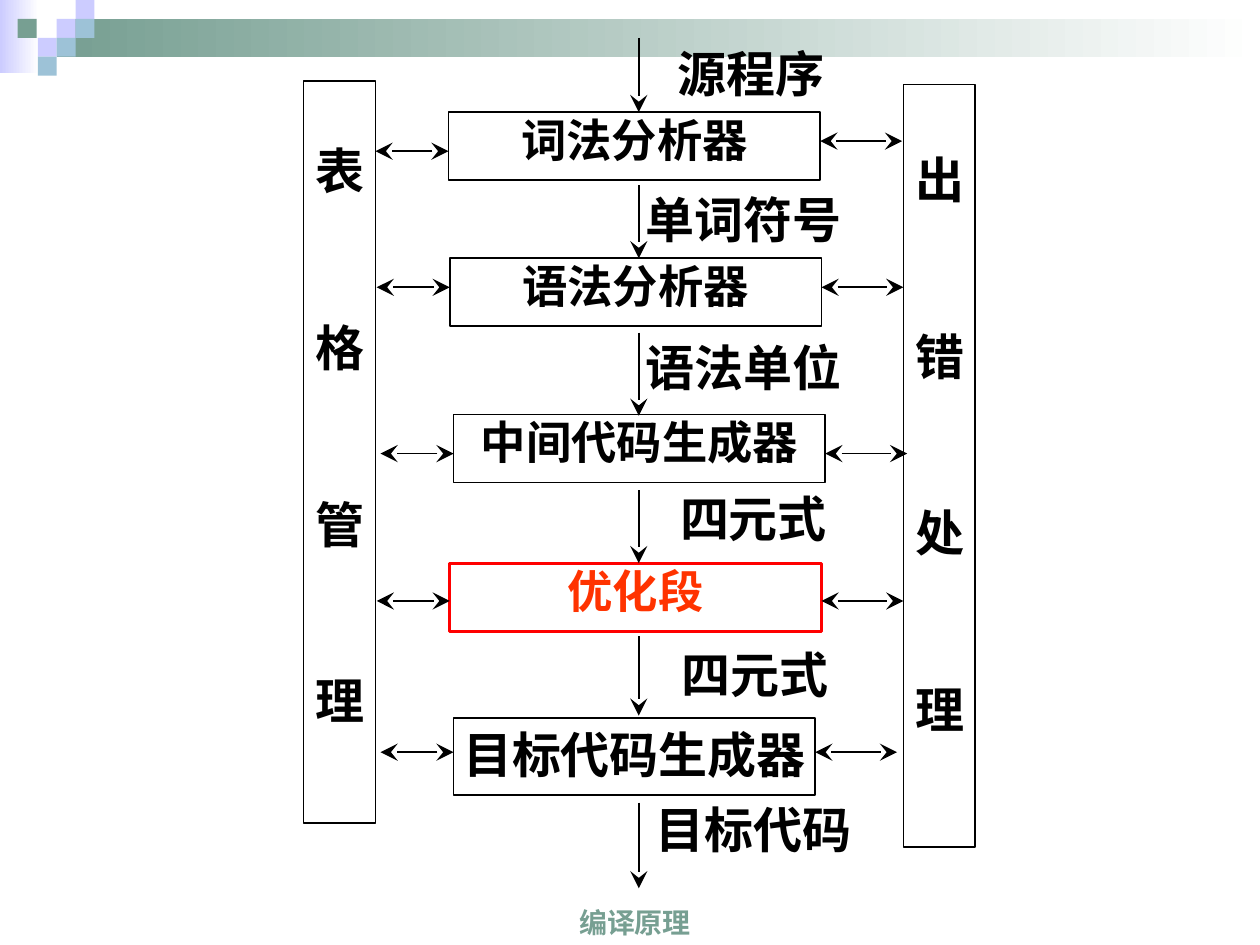
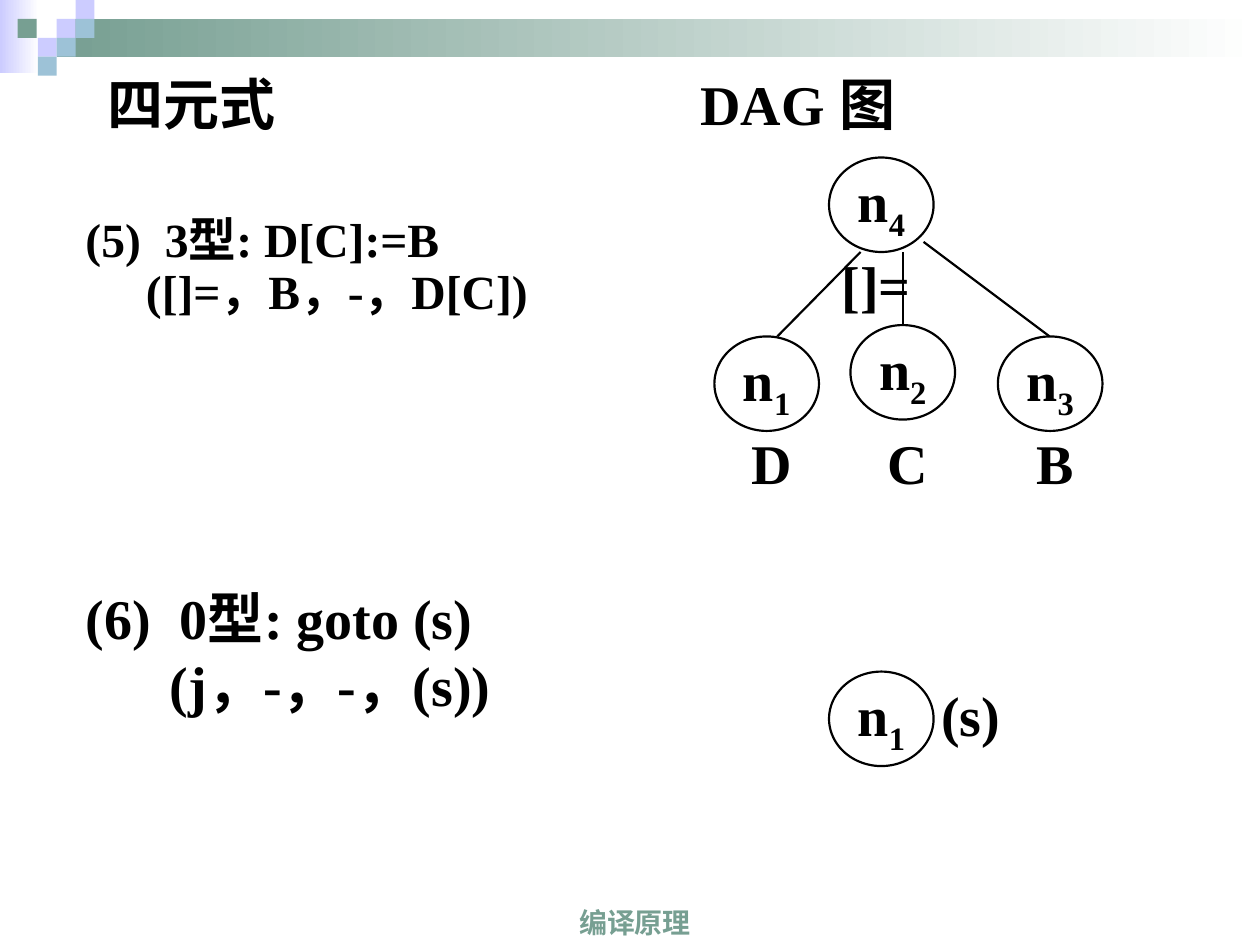
from pptx import Presentation
from pptx.dml.color import RGBColor
from pptx.enum.shapes import MSO_CONNECTOR, MSO_SHAPE
from pptx.enum.text import MSO_ANCHOR, MSO_AUTO_SIZE, PP_ALIGN
from pptx.oxml.ns import qn
from pptx.util import Inches, Pt
from lxml.etree import SubElement

BLACK = RGBColor(0x00, 0x00, 0x00)
WHITE = RGBColor(0xFF, 0xFF, 0xFF)
RED = RGBColor(0xFF, 0x00, 0x00)
ORANGE = RGBColor(0xFF, 0x33, 0x00)
GREEN = RGBColor(0x77, 0x9F, 0x92)
LILAC = RGBColor(0xCC, 0xCC, 0xFF)
BLUE = RGBColor(0x9D, 0xC2, 0xD7)
SERIF, SANS, CJK = "Times New Roman", "Arial", "Noto Sans CJK SC"

# Shared decoration: gradient bands, then small squares
FOOTER = "编译原理"
BANDS = [((0, 0, 0.31, 0.58), LILAC), ((0.45, 0.15, 9.55, 0.3), GREEN)]
SQUARE = 0.15
SQUARES = [
    (0.45, 0.15, LILAC), (0.6, 0, LILAC), (0.6, 0.15, BLUE), (0.3, 0.3, LILAC),
    (0.14, 0.15, GREEN), (0.45, 0.3, BLUE), (0.3, 0.45, BLUE),
]

# Compiler stages: text, box, font, size, text colour, line colour, line width,
# heights of the left and right arrows
STAGES = [
    ("词法分析器", (3.56, 0.89, 2.95, 0.54), SERIF, 25.9, BLACK, BLACK, 1, 1.2, 1.12),
    ("语法分析器", (3.57, 2.05, 2.95, 0.54), SERIF, 25.9, BLACK, BLACK, 1, 2.28, 2.28),
    ("中间代码生成器", (3.6, 3.29, 2.95, 0.54), CJK, 25.9, BLACK, BLACK, 1, 3.6, 3.6),
    ("优化段", (3.57, 4.47, 2.95, 0.54), CJK, 25.9, ORANGE, RED, 1.75, 4.77, 4.77),
    ("目标代码生成器", (3.6, 5.7, 2.87, 0.61), CJK, 28, BLACK, BLACK, 1, 5.97, 5.97),
]
FLOW_X, LEFT_REACH, RIGHT_REACH = 5.07, 0.58, 0.65
# Data between stages: label, label centre, label top, arrow start and end heights
LABEL_W, LABEL_H = 2, 0.38
FLOWS = [
    ("源程序", 5.96, 0.39, 0.3, 0.89),
    ("单词符号", 5.9, 1.55, 1.47, 2.05),
    ("语法单位", 5.9, 2.72, 2.64, 3.3),
    ("四元式", 5.98, 3.92, 3.89, 4.47),
    ("四元式", 5.99, 5.16, 5.05, 5.68),
    ("目标代码", 5.98, 6.39, 6.37, 7.05),
]
# Side columns: text, box, top inset
COLUMNS = [
    ("表格管理", (2.41, 0.64, 0.57, 5.89), 0.39),
    ("出错处理", (7.17, 0.67, 0.57, 6.05), 0.43),
]

# Quadruples: lines, box, size, tab stop, second line indent, line spacing
QUADRUPLES = [
    (["(5)\t3型: D[C]:=B", "([]=，B，-，D[C])"],
     (0.58, 1.67, 4.33, 1.42), 27.2, 0.63, 0.48, 0.9),
    (["(6)\t0型: goto (s)", "(j，-，-，(s))"],
     (0.58, 4.58, 4.5, 1.42), 32, 0.75, 0.67, 1),
]
NODE_W, NODE_H = 0.83, 0.75
NODES = [("4", 6.58, 1.25), ("1", 5.67, 2.67), ("2", 6.75, 2.58),
         ("3", 7.92, 2.67), ("1", 6.58, 5.33)]
NODE_LABELS = [("D", 5.75, 3.33), ("C", 6.83, 3.33), ("B", 8, 3.33),
               ("[]=", 6.58, 1.92), ("(s)", 7.33, 5.33)]
EDGES = [(6.83, 2, 6.17, 2.67), (7.17, 2, 7.17, 2.58), (7.33, 1.92, 8.33, 2.67)]


def inches(values):
    return [Inches(v) for v in values]


def style(p, size, font=SERIF, color=BLACK, align=PP_ALIGN.CENTER):
    p.alignment = align
    p.font.size, p.font.name, p.font.bold = Pt(size), font, True
    p.font.color.rgb = color


def add_tab(p, pos):
    tabs = SubElement(p._p.get_or_add_pPr(), qn("a:tabLst"))
    SubElement(tabs, qn("a:tab"), pos=str(Inches(pos)), algn="l")


def add_box(slide, box, kind=MSO_SHAPE.RECTANGLE, line=None, width=1):
    sp = slide.shapes.add_shape(kind, *inches(box))
    sp.shadow.inherit = False
    sp.fill.background()
    if line is None:
        sp.line.fill.background()
    else:
        sp.line.color.rgb, sp.line.width = line, Pt(width)
    sp.text_frame.vertical_anchor = MSO_ANCHOR.TOP
    return sp


def add_label(slide, text, box, size, font=SERIF, color=BLACK,
              anchor=MSO_ANCHOR.MIDDLE, wrap=False):
    tf = slide.shapes.add_textbox(*inches(box)).text_frame
    tf.word_wrap, tf.vertical_anchor = wrap, anchor
    tf.text = text
    style(tf.paragraphs[0], size, font, color)


def add_line(slide, ends, width=1, heads=()):
    cn = slide.shapes.add_connector(MSO_CONNECTOR.STRAIGHT, *inches(ends))
    cn.line.color.rgb, cn.line.width = BLACK, Pt(width)
    for head in heads:
        SubElement(cn.line._get_or_add_ln(), qn(head), type="stealth", w="lg", len="lg")
    SubElement(cn._element.spPr, qn("a:effectLst"))


def decorate(slide):
    slide.background.fill.solid()
    slide.background.fill.fore_color.rgb = WHITE
    for box, color in BANDS:
        fill = add_box(slide, box).fill
        fill.gradient()
        fill.gradient_angle = 0
        for stop, c in zip(fill.gradient_stops, (color, WHITE)):
            stop.color.rgb = c
    for x, y, color in SQUARES:
        fill = add_box(slide, (x, y, SQUARE, SQUARE)).fill
        fill.solid()
        fill.fore_color.rgb = color
    add_label(slide, FOOTER, (3.27, 7, 3.54, 0.5), 16, SANS, GREEN,
              MSO_ANCHOR.BOTTOM, True)


def build_compiler(slide):
    # Side columns, one character a line
    for text, box, inset in COLUMNS:
        tf = add_box(slide, box, line=BLACK).text_frame
        tf.margin_top = Inches(inset)
        for i, char in enumerate(text):
            p = tf.paragraphs[0] if i == 0 else tf.add_paragraph()
            p.text = char
            p.line_spacing = Pt(40)
            if i:
                p.space_before = Pt(60.9)
            style(p, 28)

    # Stages with their two-way arrows
    both = ("a:headEnd", "a:tailEnd")
    for text, box, font, size, color, line, width, left_y, right_y in STAGES:
        tf = add_box(slide, box, line=line, width=width).text_frame
        tf.text = text
        p = tf.paragraphs[0]
        if size < 28:
            p.line_spacing = 0.9
        else:
            tf.margin_left = tf.margin_right = Inches(0.02)
        style(p, size, font, color)
        left, right = box[0], box[0] + box[2]
        add_line(slide, (left, left_y, left - LEFT_REACH, left_y), heads=both)
        add_line(slide, (right, right_y, right + RIGHT_REACH, right_y), heads=both)

    # Data passed down
    for text, center, top, start, end in FLOWS:
        add_label(slide, text, (center - LABEL_W / 2, top, LABEL_W, LABEL_H), 28)
        add_line(slide, (FLOW_X, start, FLOW_X, end), heads=("a:tailEnd",))


def build_dag(slide):
    # Title with two column heads
    title = slide.shapes.title
    title.left, title.top, title.width, title.height = inches((0.75, 0.5, 8.33, 0.75))
    tf = title.text_frame
    tf.auto_size, tf.vertical_anchor = MSO_AUTO_SIZE.NONE, MSO_ANCHOR.TOP
    tf.text = "四元式\tDAG 图"
    add_tab(tf.paragraphs[0], 4.71)
    style(tf.paragraphs[0], 32, align=PP_ALIGN.LEFT)

    # Quadruples
    for lines, box, size, tab, indent, spacing in QUADRUPLES:
        tf = slide.shapes.add_textbox(*inches(box)).text_frame
        tf.word_wrap = True
        tf.text = "\n".join(lines)
        first, second = tf.paragraphs
        add_tab(first, tab)
        second._p.get_or_add_pPr().set("marL", str(Inches(indent)))
        for p in (first, second):
            p.line_spacing = spacing
            style(p, size, align=PP_ALIGN.LEFT)

    # Graph
    for ends in EDGES:
        add_line(slide, ends, 1.25)
    for index, x, y in NODES:
        tf = add_box(slide, (x, y, NODE_W, NODE_H), MSO_SHAPE.OVAL, BLACK, 1.25).text_frame
        tf.word_wrap, tf.vertical_anchor = False, MSO_ANCHOR.MIDDLE
        p = tf.paragraphs[0]
        style(p, 32)
        p.add_run().text = "n"
        r = p.add_run()
        r.text = index
        r.font._element.set("baseline", "-25000")
    for text, x, y in NODE_LABELS:
        add_label(slide, text, (x, y, 0.75, 0.67), 32)


def main():
    prs = Presentation()
    prs.slide_width, prs.slide_height = Inches(10), Inches(7.5)
    for layout, build in ((6, build_compiler), (5, build_dag)):
        slide = prs.slides.add_slide(prs.slide_layouts[layout])
        decorate(slide)
        build(slide)
    prs.save("out.pptx")


if __name__ == "__main__":
    main()
